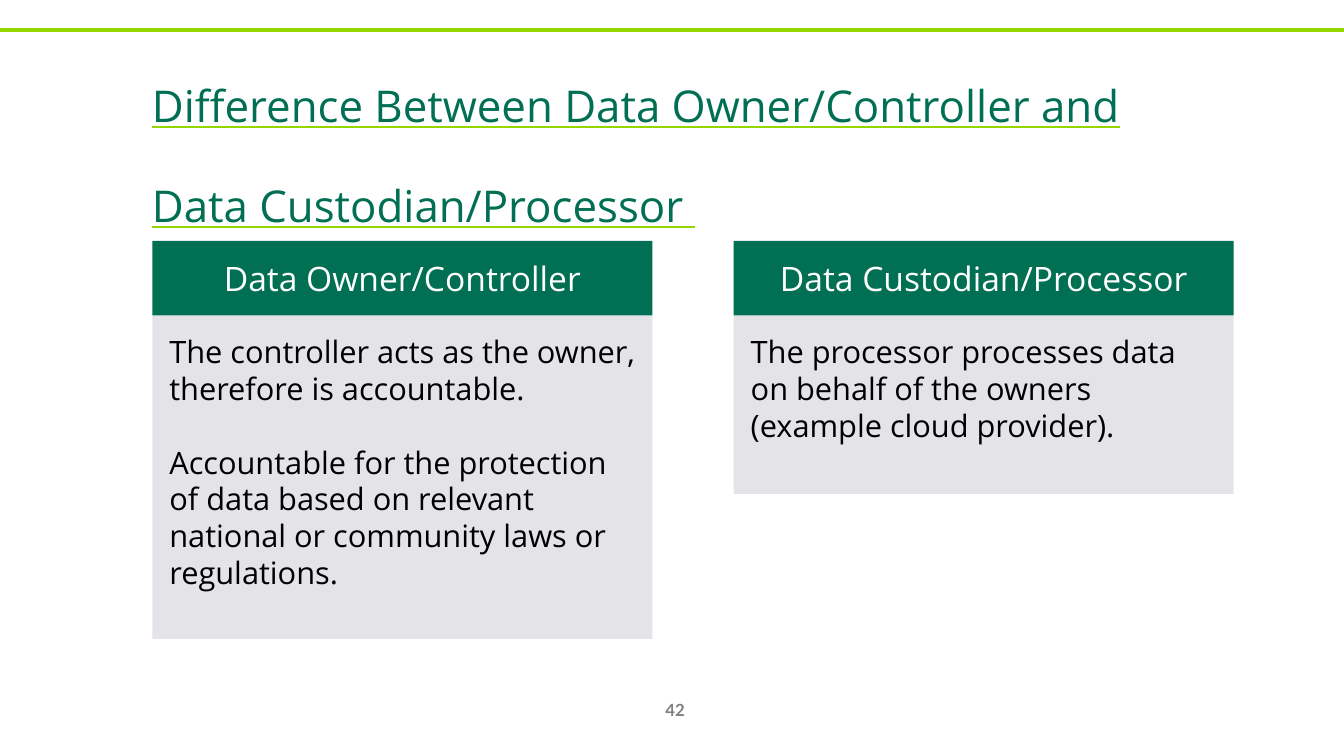
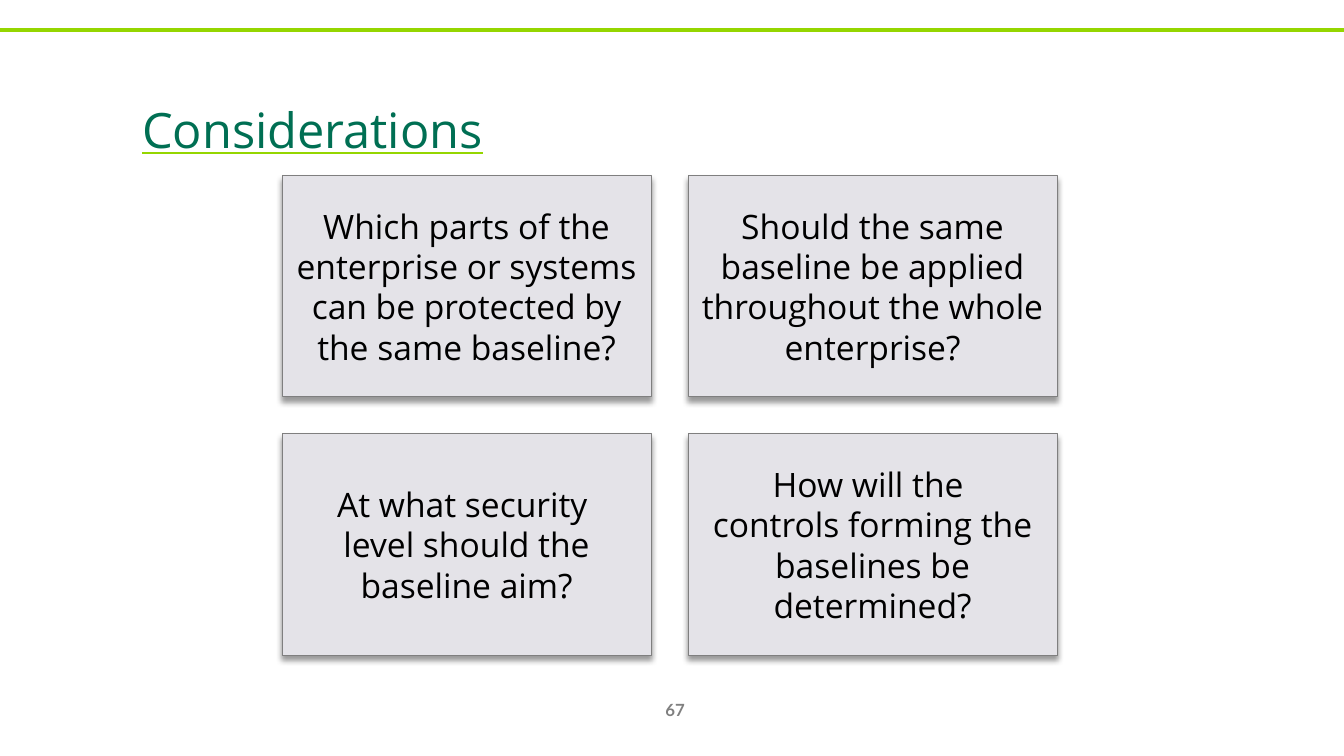
from pptx import Presentation
from pptx.dml.color import RGBColor
from pptx.enum.shapes import MSO_CONNECTOR, MSO_SHAPE
from pptx.enum.text import MSO_ANCHOR, PP_ALIGN
from pptx.oxml import parse_xml
from pptx.oxml.ns import nsdecls
from pptx.util import Cm, Pt

RECTANGLE = MSO_SHAPE.RECTANGLE
STRAIGHT = MSO_CONNECTOR.STRAIGHT
TOP, MIDDLE = MSO_ANCHOR.TOP, MSO_ANCHOR.MIDDLE
LEFT, CENTER = PP_ALIGN.LEFT, PP_ALIGN.CENTER

WIDTH, HEIGHT = 33.87, 19.05
GREEN, LIME, PALE = "006F53", "95D600", "E4E3E8"
GRAY, BORDER, BLACK, WHITE = "808080", "7F7F7F", "000000", "FFFFFF"


def color(value):
    return RGBColor.from_string(value)


class Deck:
    """Hold the shared style and the slide being built."""

    body_font = "Open Sans"
    number_font = "Lato"

    def __init__(self):
        self.presentation = Presentation()
        self.presentation.slide_width = Cm(WIDTH)
        self.presentation.slide_height = Cm(HEIGHT)
        self.slide = None

    def start_slide(self, number):
        self.slide = self.presentation.slides.add_slide(self.presentation.slide_layouts[6])
        self.rule()
        paragraph = self.text_box(16.23, 17.37, 1.57, 1.02, CENTER)
        self.run(paragraph, str(number), 12, GRAY, self.number_font).font.bold = True

    def rule(self):
        line = self.slide.shapes.add_connector(STRAIGHT, 0, Cm(0.76), Cm(WIDTH), Cm(0.76))
        line.line.color.rgb = color(LIME)
        line.line.width = Pt(3)
        line._element.spPr.append(parse_xml(f"<a:effectLst {nsdecls('a')}/>"))

    def run(self, paragraph, text, size, text_color, font=body_font):
        run = paragraph.add_run()
        run.text = text
        run.font.size = Pt(size)
        run.font.color.rgb = color(text_color)
        run.font.name = font
        return run

    def text_box(self, left, top, width, height, alignment=LEFT):
        box = self.slide.shapes.add_textbox(Cm(left), Cm(top), Cm(width), Cm(height))
        frame = box.text_frame
        frame.word_wrap = True
        frame.vertical_anchor = MIDDLE
        paragraph = frame.paragraphs[0]
        paragraph.alignment = alignment
        return paragraph

    def title(self, text, left, top, width, height, size, line_spacing=1.0):
        paragraph = self.text_box(left, top, width, height)
        paragraph.line_spacing = line_spacing
        run = self.run(paragraph, text, size, GREEN)
        run.font.underline = True
        properties = run._r.get_or_add_rPr()
        properties.set("baseline", "12000")
        underline = parse_xml(
            f'<a:uFill {nsdecls("a")}><a:solidFill><a:srgbClr val="{LIME}"/>'
            "</a:solidFill></a:uFill>"
        )
        properties.insert(1, underline)

    def panel(self, paragraphs, left, top, width, height, size, inset,
              fill=PALE, text_color=BLACK, alignment=CENTER, anchor=MIDDLE):
        shape = self.slide.shapes.add_shape(RECTANGLE, Cm(left), Cm(top), Cm(width), Cm(height))
        shape.shadow.inherit = False
        shape.fill.solid()
        shape.fill.fore_color.rgb = color(fill)
        shape.line.fill.background()
        frame = shape.text_frame
        frame.word_wrap = True
        frame.vertical_anchor = anchor
        frame.margin_left = frame.margin_right = Cm(inset)
        frame.margin_top = frame.margin_bottom = Cm(inset)
        for index, text in enumerate(paragraphs):
            paragraph = frame.add_paragraph() if index else frame.paragraphs[0]
            paragraph.alignment = alignment
            if index:
                paragraph.space_before = Pt(26.3)
            for line_index, line in enumerate(text.split("\n")):
                if line_index:
                    paragraph.add_line_break()
                self.run(paragraph, line, size, text_color)
        return shape

    def column(self, heading, paragraphs, left, height):
        top, width, heading_height = 6.07, 12.6, 1.88
        self.panel(paragraphs, left, top + heading_height, width, height, 22, 0.43,
                   alignment=LEFT, anchor=TOP)
        self.panel([heading], left, top, width, heading_height, 24, 0.38, GREEN, WHITE)

    def card(self, text, left, top, width, height):
        shape = self.panel([text], left, top, width, height, 24, 0.25)
        shape.line.color.rgb = color(BORDER)
        shape.line.width = Pt(0.75)
        effects = shape._element.spPr.find("{*}effectLst")
        effects.append(parse_xml(
            f'<a:outerShdw {nsdecls("a")} blurRad="{Pt(4)}" dist="{Pt(3)}" dir="5400000" '
            f'rotWithShape="0"><a:srgbClr val="{BLACK}"><a:alpha val="40000"/>'
            "</a:srgbClr></a:outerShdw>"
        ))


def build_roles(deck):
    deck.start_slide(42)
    deck.title("Difference Between Data Owner/Controller and Data Custodian/Processor ",
               3.58, 1.8, 27.38, 3.81, 54, 1.1)
    deck.column("Data Owner/Controller", [
        "The controller acts as the owner, therefore is accountable.",
        "Accountable for the protection of data based on relevant national or community "
        "laws or regulations.",
    ], 3.84, 8.15)
    deck.column("Data Custodian/Processor", [
        "The processor processes data on behalf of the owners (example cloud provider).",
    ], 18.49, 4.5)


def build_considerations(deck):
    deck.start_slide(67)
    deck.title("Considerations", 3.33, 1.55, 24.08, 3.18, 60)
    questions = [
        "Which parts of the enterprise or systems can be protected by the same baseline?",
        "Should the same baseline be applied throughout the whole enterprise?",
        "At what security \nlevel should the baseline aim?",
        "How will the \ncontrols forming the baselines be determined?",
    ]
    width, height, gap = 9.3, 5.58, 0.93
    for index, question in enumerate(questions):
        row, column = divmod(index, 2)
        deck.card(question, 7.11 + column * (width + gap), 4.42 + row * (height + gap),
                  width, height)


def main():
    deck = Deck()
    build_roles(deck)
    build_considerations(deck)
    deck.presentation.save("out.pptx")


if __name__ == "__main__":
    main()
